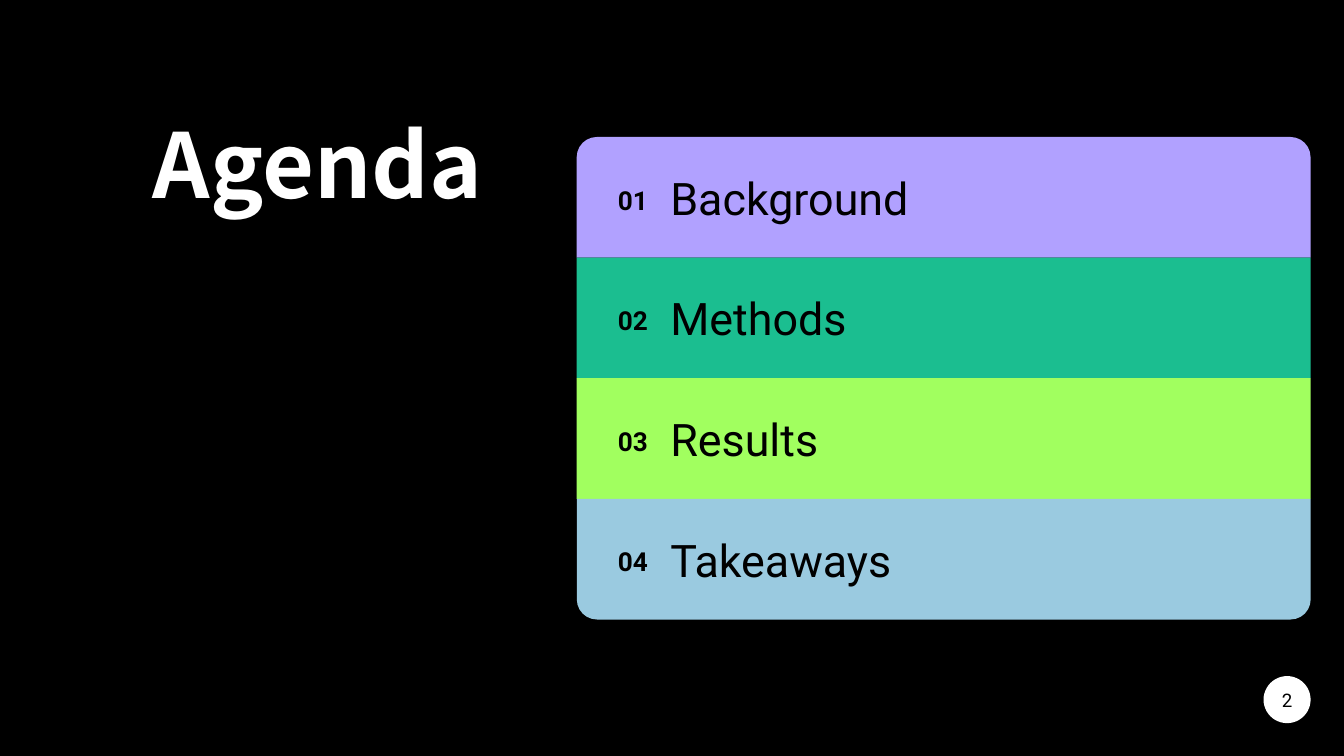
from pptx import Presentation
from pptx.dml.color import RGBColor
from pptx.enum.shapes import MSO_SHAPE as Shape
from pptx.enum.text import MSO_ANCHOR as Anchor, PP_ALIGN as Align
from pptx.util import Cm, Pt

BLACK = RGBColor(0x00, 0x00, 0x00)
WHITE = RGBColor(0xFF, 0xFF, 0xFF)
PURPLE = RGBColor(0xB1, 0xA1, 0xFF)
GREEN = RGBColor(0x1B, 0xBE, 0x90)
LIME = RGBColor(0xA1, 0xFF, 0x5F)
BLUE = RGBColor(0x9A, 0xCA, 0xE0)

AGENDA = [
    ("Background", PURPLE),
    ("Methods", GREEN),
    ("Results", LIME),
    ("Takeaways", BLUE),
]


def add_panel(slide, kind, left, top, width, height, color):
    shape = slide.shapes.add_shape(kind, left, top, width, height)
    shape.shadow.inherit = False
    shape.fill.solid()
    shape.fill.fore_color.rgb = color
    shape.line.fill.background()
    return shape


def add_text(slide, text, left, top, width, height, size, font="Roboto", color=BLACK,
             bold=False, anchor=Anchor.MIDDLE, align=Align.LEFT, spacing=1.0):
    frame = slide.shapes.add_textbox(left, top, width, height).text_frame
    frame.word_wrap = True
    frame.vertical_anchor = anchor
    frame.margin_left = frame.margin_right = Cm(0.25)
    frame.margin_top = frame.margin_bottom = Cm(0.25)
    paragraph = frame.paragraphs[0]
    paragraph.text = text
    paragraph.alignment = align
    paragraph.line_spacing = spacing
    paragraph.font.name = font
    paragraph.font.size = Pt(size)
    paragraph.font.bold = bold
    paragraph.font.color.rgb = color


def add_agenda(slide, left, top, width, height):
    """Stack equal bands, rounding the outer corners of the first and last."""
    row_height = height // len(AGENDA)
    last = len(AGENDA) - 1
    for index, (topic, color) in enumerate(AGENDA):
        row_top = top + index * row_height
        kind = Shape.ROUND_2_SAME_RECTANGLE if index in (0, last) else Shape.RECTANGLE
        band = add_panel(slide, kind, left, row_top, width, row_height, color)
        if index == last:
            band.rotation = 180
        add_text(slide, f"{index + 1:02}", left + Cm(0.53), row_top, Cm(1.52), row_height,
                 14, bold=True, spacing=1.15)
        add_text(slide, topic, left + Cm(1.52), row_top, width - Cm(1.52), row_height, 24)


def add_page_number(slide, number, left, top, diameter):
    add_panel(slide, Shape.OVAL, left, top, diameter, diameter, WHITE)
    margin = Cm(0.31)
    add_text(slide, number, left - margin, top - Cm(0.1), diameter + 2 * margin,
             diameter + Cm(0.2), 10, align=Align.CENTER)


def main():
    presentation = Presentation()
    presentation.slide_width = Cm(25.4)
    presentation.slide_height = Cm(14.29)
    slide = presentation.slides.add_slide(presentation.slide_layouts[6])
    slide.background.fill.solid()
    slide.background.fill.fore_color.rgb = BLACK

    add_text(slide, "Agenda", Cm(2.64), Cm(2.21), Cm(7.92), Cm(7.37), 48,
             font="Noto Sans CJK KR", color=WHITE, bold=True,
             anchor=Anchor.TOP, spacing=0.8)
    add_agenda(slide, Cm(10.9), Cm(2.59), Cm(13.87), Cm(9.12))
    add_page_number(slide, "2", Cm(23.88), Cm(12.78), Cm(0.89))
    presentation.save("out.pptx")


if __name__ == "__main__":
    main()
